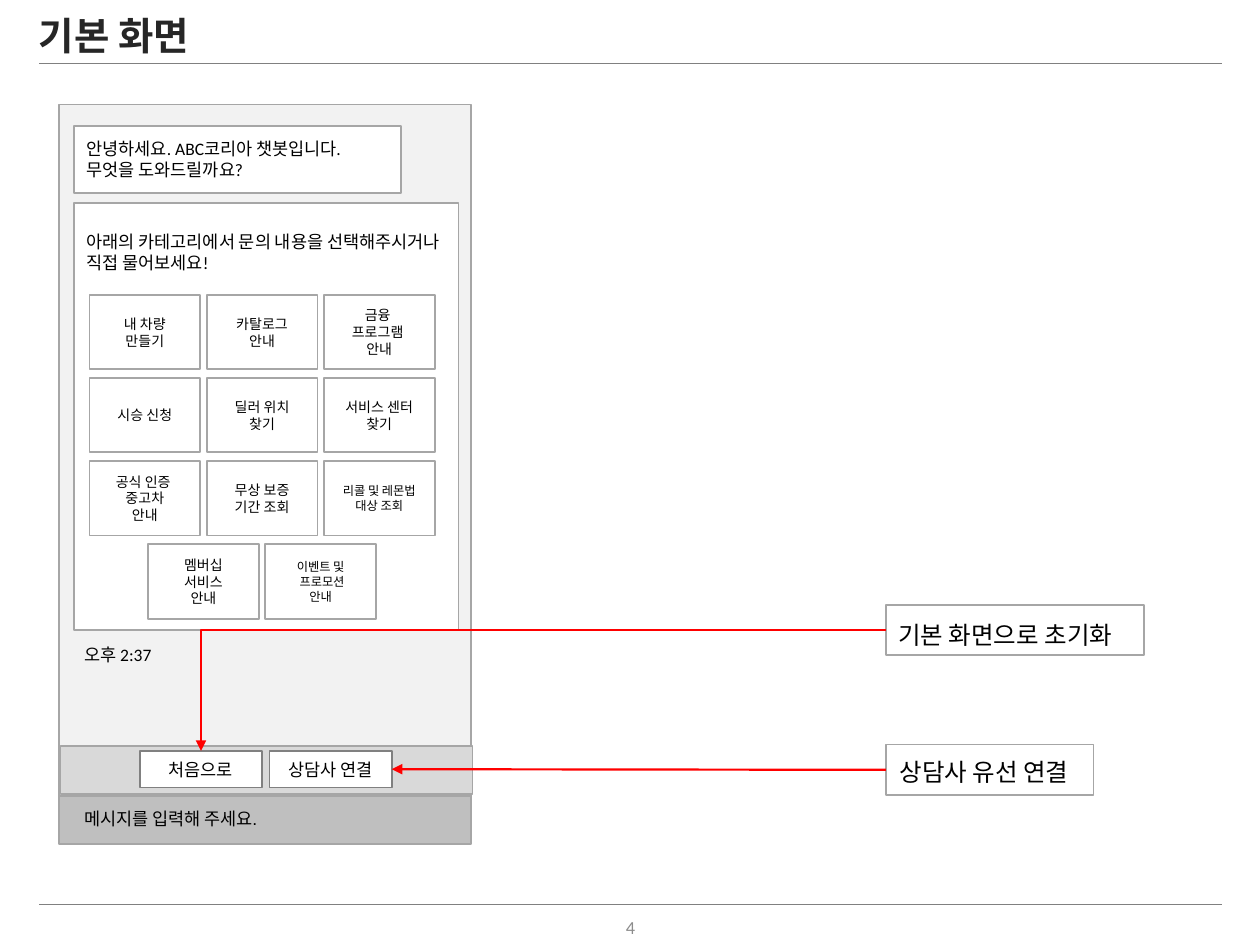
"""Build the chatbot home screen slide with its two callouts."""
from lxml.etree import SubElement
from pptx import Presentation
from pptx.dml.color import RGBColor
from pptx.enum.shapes import MSO_CONNECTOR as Link, MSO_SHAPE as Shape
from pptx.enum.text import MSO_ANCHOR as Anchor, PP_ALIGN as Align
from pptx.oxml.ns import qn
from pptx.util import Inches, Pt

BLACK = RGBColor(0x00, 0x00, 0x00)
WHITE = RGBColor(0xFF, 0xFF, 0xFF)
RED = RGBColor(0xFF, 0x00, 0x00)
TITLE_INK = RGBColor(0x26, 0x26, 0x26)
NUMBER_INK = RGBColor(0x8C, 0x8C, 0x8C)
RULE_GRAY = RGBColor(0x80, 0x80, 0x80)
EDGE_GRAY = RGBColor(0xA6, 0xA6, 0xA6)
SCREEN_GRAY = RGBColor(0xF2, 0xF2, 0xF2)
BAR_GRAY = RGBColor(0xD9, 0xD9, 0xD9)
INPUT_GRAY = RGBColor(0xBF, 0xBF, 0xBF)
KOREAN = "Noto Sans CJK KR"

TITLE = "기본 화면"
PAGE_NUMBER = "4"
GREETING = "안녕하세요. ABC코리아 챗봇입니다.\n무엇을 도와드릴까요?"
GUIDE = "아래의 카테고리에서 문의 내용을 선택해주시거나 직접 물어보세요!"
TIME = "오후 2:37"
PROMPT = "메시지를 입력해 주세요."
BUTTONS = ["처음으로", "상담사 연결"]
CATEGORIES = [
    [("내 차량\n만들기", 8), ("카탈로그\n안내", 8), ("금융 \n프로그램 \n안내", 8)],
    [("시승 신청", 8), ("딜러 위치\n찾기", 8), ("서비스 센터\n찾기", 8)],
    [("공식 인증 \n중고차\n안내", 8), ("무상 보증\n기간 조회", 8), ("리콜 및 레몬법 대상 조회", 7)],
    [("멤버십\n서비스\n안내", 8), ("이벤트 및\n 프로모션\n안내", 7)],
]
CALLOUTS = [
    ("기본 화면으로 초기화", (7.03, 4.8, 2.05, 0.4), (7.03, 4.87, 2.11, 0.34)),
    ("상담사 유선 연결", (7.03, 5.91, 1.65, 0.4), (7.04, 5.96, 1.71, 0.34)),
]
GRID_LEFT, GRID_TOP = 0.71, 2.34
COLUMN_STEP, ROW_STEP = 0.93, 0.66
CELL_WIDTH, CELL_HEIGHT = 0.88, 0.59


def write(box, text, *, size=10, font="Calibri", color=BLACK, bold=False,
          align=Align.LEFT, anchor=Anchor.MIDDLE, top=0.05, spacing=None):
    frame = box.text_frame
    frame.word_wrap = True
    frame.vertical_anchor = anchor
    frame.margin_top = Inches(top)
    for index, line in enumerate(text.split("\n")):
        para = frame.paragraphs[0] if index == 0 else frame.add_paragraph()
        para.alignment = align
        para.line_spacing = spacing
        span = para.add_run()
        span.text = line
        span.font.size = Pt(size)
        span.font.name = font
        span.font.bold = bold
        span.font.color.rgb = color


def add_text(page, area, text, **style):
    write(page.shapes.add_textbox(*map(Inches, area)), text, **style)


def add_panel(page, area, fill=WHITE, edge=EDGE_GRAY):
    panel = page.shapes.add_shape(Shape.RECTANGLE, *map(Inches, area))
    panel.shadow.inherit = False
    if fill is None:
        panel.fill.background()
    else:
        panel.fill.solid()
        panel.fill.fore_color.rgb = fill
    panel.line.color.rgb = edge
    panel.line.width = Pt(1)
    return panel


def add_line(page, start, end, color, width, kind=Link.STRAIGHT):
    line = page.shapes.add_connector(kind, *map(Inches, start + end))
    line.line.color.rgb = color
    line.line.width = Pt(width)
    SubElement(line._element.spPr, qn("a:effectLst"))
    return line


def add_arrow(page, source, target, start, end, target_side, kind=Link.STRAIGHT):
    arrow = add_line(page, start, end, RED, 1.25, kind)
    if kind == Link.ELBOW:
        arrow._element.spPr.find(qn("a:prstGeom")).set("prst", "bentConnector2")
    arrow.begin_connect(source, 1)
    arrow.end_connect(target, target_side)
    SubElement(arrow.line._get_or_add_ln(), qn("a:tailEnd"), type="triangle")


def add_categories(page):
    columns = max(map(len, CATEGORIES))
    for row, labels in enumerate(CATEGORIES):
        indent = (columns - len(labels)) * COLUMN_STEP / 2
        for column, (label, size) in enumerate(labels):
            left = GRID_LEFT + indent + column * COLUMN_STEP
            cell = add_panel(page, (left, GRID_TOP + row * ROW_STEP, CELL_WIDTH, CELL_HEIGHT))
            write(cell, label, size=size, font=KOREAN, align=Align.CENTER)


def main():
    deck = Presentation()
    deck.slide_width, deck.slide_height = Inches(10), Inches(7.5)
    page = deck.slides.add_slide(deck.slide_layouts[6])

    for height in (0.5, 7.18):
        add_line(page, (0.31, height), (9.7, height), RULE_GRAY, 0.25)
    add_text(page, (0.21, 0.09, 9.97, 0.44), TITLE, size=22, font=KOREAN,
             color=TITLE_INK, bold=True, anchor=Anchor.TOP, spacing=0.9)
    add_text(page, (3.88, 7.25, 2.25, 0.21), PAGE_NUMBER, size=10.5,
             color=NUMBER_INK, align=Align.CENTER)

    add_panel(page, (0.47, 0.83, 3.27, 5.86), SCREEN_GRAY)
    add_panel(page, (0.48, 5.92, 3.27, 0.38), BAR_GRAY)
    add_panel(page, (0.47, 6.32, 3.27, 0.38), INPUT_GRAY)
    add_text(page, (0.57, 6.36, 1.73, 0.27), PROMPT, font="Arial", anchor=Anchor.TOP)
    write(add_panel(page, (0.59, 1, 2.59, 0.53)), GREETING)
    add_text(page, (0.57, 5.09, 0.89, 0.21), TIME)
    write(add_panel(page, (0.59, 1.61, 3.05, 3.39)), GUIDE, anchor=Anchor.TOP, top=0.22)
    add_categories(page)

    buttons = []
    for index, label in enumerate(BUTTONS):
        button = add_panel(page, (1.11 + index * 1.03, 5.96, 0.97, 0.29), edge=RULE_GRAY)
        write(button, label, align=Align.CENTER)
        buttons.append(button)

    frames = []
    for label, frame_area, text_area in CALLOUTS:
        add_text(page, text_area, label, size=14, font=KOREAN, anchor=Anchor.TOP)
        frames.append(add_panel(page, frame_area, None))

    add_arrow(page, frames[1], buttons[1], (7.03, 6.11), (3.11, 6.11), 3)
    add_arrow(page, frames[0], buttons[0], (7.03, 5), (1.59, 5.96), 0, Link.ELBOW)
    deck.save("out.pptx")


if __name__ == "__main__":
    main()
